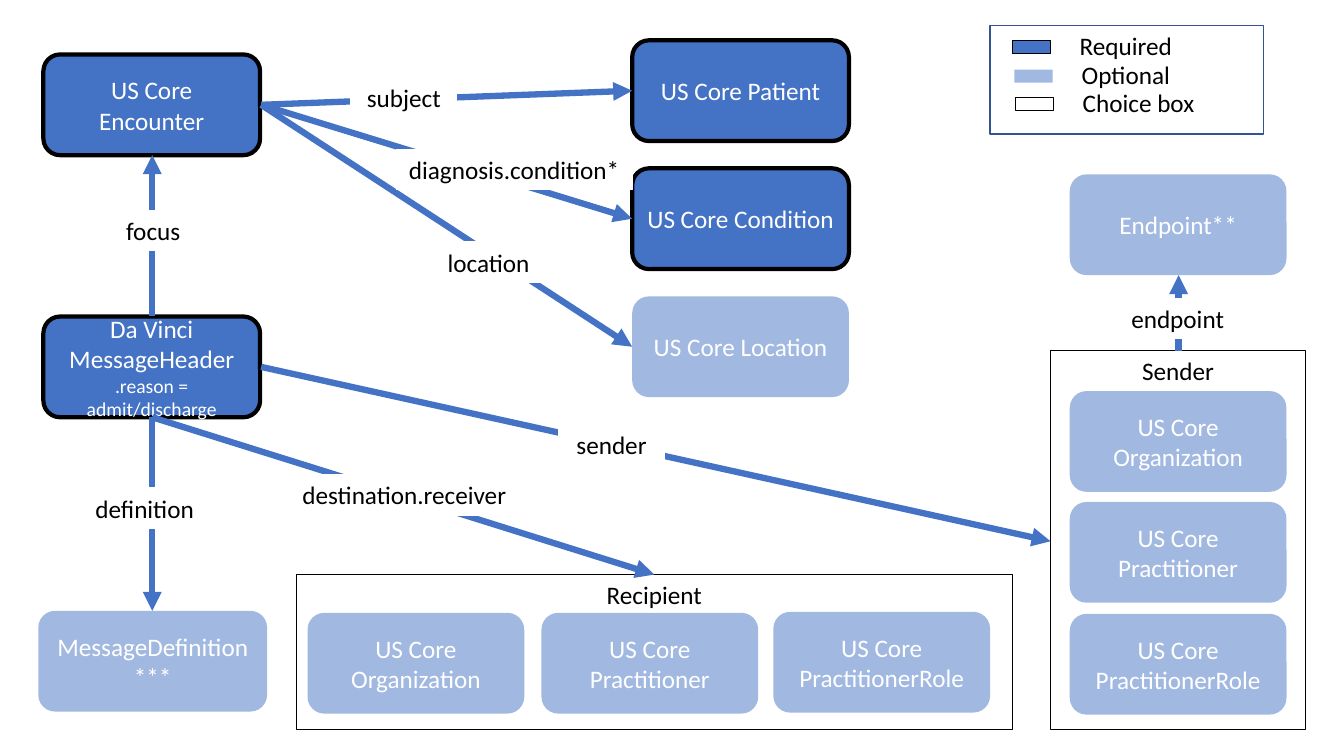
from lxml.etree import SubElement
from pptx import Presentation
from pptx.dml.color import RGBColor
from pptx.enum.shapes import MSO_CONNECTOR as Connector, MSO_SHAPE as Shape
from pptx.enum.text import MSO_ANCHOR as Anchor, MSO_AUTO_SIZE as Fit, PP_ALIGN as Align
from pptx.oxml.ns import qn
from pptx.util import Pt

PX = 9144
THEME = {
    "font": "Calibri", "size": 18, "small": 14, "arrow": 4.5,
    "blue": "4472C4", "navy": "325491", "black": "000000", "white": "FFFFFF",
}
STYLES = {
    "required": {"shape": Shape.ROUNDED_RECTANGLE, "fill": "blue", "line": ("black", 3),
                 "ink": "white", "frame": {"vertical_anchor": Anchor.MIDDLE}},
    "optional": {"shape": Shape.ROUNDED_RECTANGLE, "fill": "blue", "alpha": 50,
                 "ink": "white", "frame": {"vertical_anchor": Anchor.MIDDLE}},
    "choice": {"shape": Shape.RECTANGLE, "line": ("black", 1),
               "frame": {"vertical_anchor": Anchor.TOP}},
    "label": {"shape": Shape.RECTANGLE, "fill": "white", "line": ("white", 0.75),
              "frame": {"vertical_anchor": Anchor.TOP, "auto_size": Fit.SHAPE_TO_FIT_TEXT}},
    "legend frame": {"shape": Shape.RECTANGLE, "line": ("navy", 1)},
    "required key": {"shape": Shape.RECTANGLE, "fill": "blue", "line": ("black", 1)},
    "optional key": {"shape": Shape.RECTANGLE, "fill": "blue", "alpha": 50},
    "choice key": {"shape": Shape.RECTANGLE, "fill": "white", "line": ("black", 1)},
    "legend text": {"align": Align.LEFT, "frame": {"auto_size": Fit.SHAPE_TO_FIT_TEXT}},
}

deck = Presentation()
deck.slide_width, deck.slide_height = 1333 * PX, 750 * PX
page = deck.slides.add_slide(deck.slide_layouts[6])


def add_box(style_name, left, top, width, height, *lines):
    style = STYLES[style_name]
    place = [length * PX for length in (left, top, width, height)]
    if "shape" in style:
        box = page.shapes.add_shape(style["shape"], *place)
        box.shadow.inherit = False
    else:
        box = page.shapes.add_textbox(*place)
    if "fill" in style:
        box.fill.solid()
        box.fill.fore_color.rgb = RGBColor.from_string(THEME[style["fill"]])
    else:
        box.fill.background()
    if "alpha" in style:
        color = box.fill._xPr.find(qn("a:solidFill"))[0]
        SubElement(color, qn("a:alpha"), val=str(style["alpha"] * 1000))
    if "line" in style:
        line_color, weight = style["line"]
        box.line.color.rgb = RGBColor.from_string(THEME[line_color])
        box.line.width = Pt(weight)
    else:
        box.line.fill.background()
    frame = box.text_frame
    for name, value in {"word_wrap": True, **style.get("frame", {})}.items():
        setattr(frame, name, value)
    for index, text in enumerate(lines):
        para = frame.add_paragraph() if index else frame.paragraphs[0]
        para.alignment = style.get("align", Align.CENTER)
        span = para.add_run()
        span.text = text
        size = THEME["small"] if index else THEME["size"]
        for name, value in {"name": THEME["font"], "size": Pt(size)}.items():
            setattr(span.font, name, value)
        span.font.color.rgb = RGBColor.from_string(THEME[style.get("ink", "black")])


def add_arrow(*ends):
    arrow = page.shapes.add_connector(Connector.STRAIGHT, *[end * PX for end in ends])
    arrow.line.color.rgb = RGBColor.from_string(THEME["blue"])
    arrow.line.width = Pt(THEME["arrow"])
    SubElement(arrow.line._get_or_add_ln(), qn("a:tailEnd"), type="triangle")
    SubElement(arrow._element.spPr, qn("a:effectLst"))


add_box("choice", 1042, 348, 253, 376, "Sender")
add_box("choice", 294, 570, 710, 154, "Recipient")

BOX = (215, 100)
parties = ["US Core Organization", "US Core Practitioner", "US Core PractitionerRole"]
for party, sender_top, recipient_left, recipient_top in zip(
        parties, (388, 498, 609), (305, 537, 767), (608, 608, 607)):
    add_box("optional", 1061, sender_top, *BOX, party)
    add_box("optional", recipient_left, recipient_top, *BOX, party)

resources = [
    ("required", 43, 54, *BOX, "US Core Encounter"),
    ("required", 43, 314, *BOX, "Da Vinci MessageHeader", ".reason = admit/discharge"),
    ("required", 627, 40, *BOX, "US Core Patient"),
    ("required", 627, 167, *BOX, "US Core Condition"),
    ("optional", 627, 294, *BOX, "US Core Location"),
    ("optional", 1061, 173, *BOX, "Endpoint**"),
    ("optional", 38, 606, 227, 100, "MessageDefinition***"),
]
for resource in resources:
    add_box(*resource)

ENCOUNTER_SIDE = (259, 104)
HEADER_FOOT = (151, 414)
references = [
    ("focus", (151, 314), (151, 154), (102, 209, 100)),
    ("destination.receiver", HEADER_FOOT, (649, 570), (285, 471, 232)),
    ("sender", (259, 364), (1042, 537), (554, 421, 105)),
    ("definition", HEADER_FOOT, (151, 606), (75, 484, 137)),
    ("subject", ENCOUNTER_SIDE, (627, 90), (348, 77, 105)),
    ("diagnosis.condition*", ENCOUNTER_SIDE, (627, 217), (393, 148, 234)),
    ("location", ENCOUNTER_SIDE, (627, 344), (432, 240, 105)),
    ("endpoint", (1169, 348), (1169, 273), (1109, 296, 118)),
]
for name, start, end, label in references:
    add_arrow(*start, *end)
for name, start, end, label in references:
    add_box("label", *label, 40, name)

legend = [
    ("required key", 1004, 40, "Required"),
    ("optional key", 1006, 69, "Optional"),
    ("choice key", 1007, 97, "Choice box"),
]
for key, left, top, meaning in legend:
    add_box(key, left, top, 38, 13)
    add_box("legend text", left + 57, top - 15, 189, 40, meaning)
add_box("legend frame", 982, 25, 271, 108)

deck.save("out.pptx")
